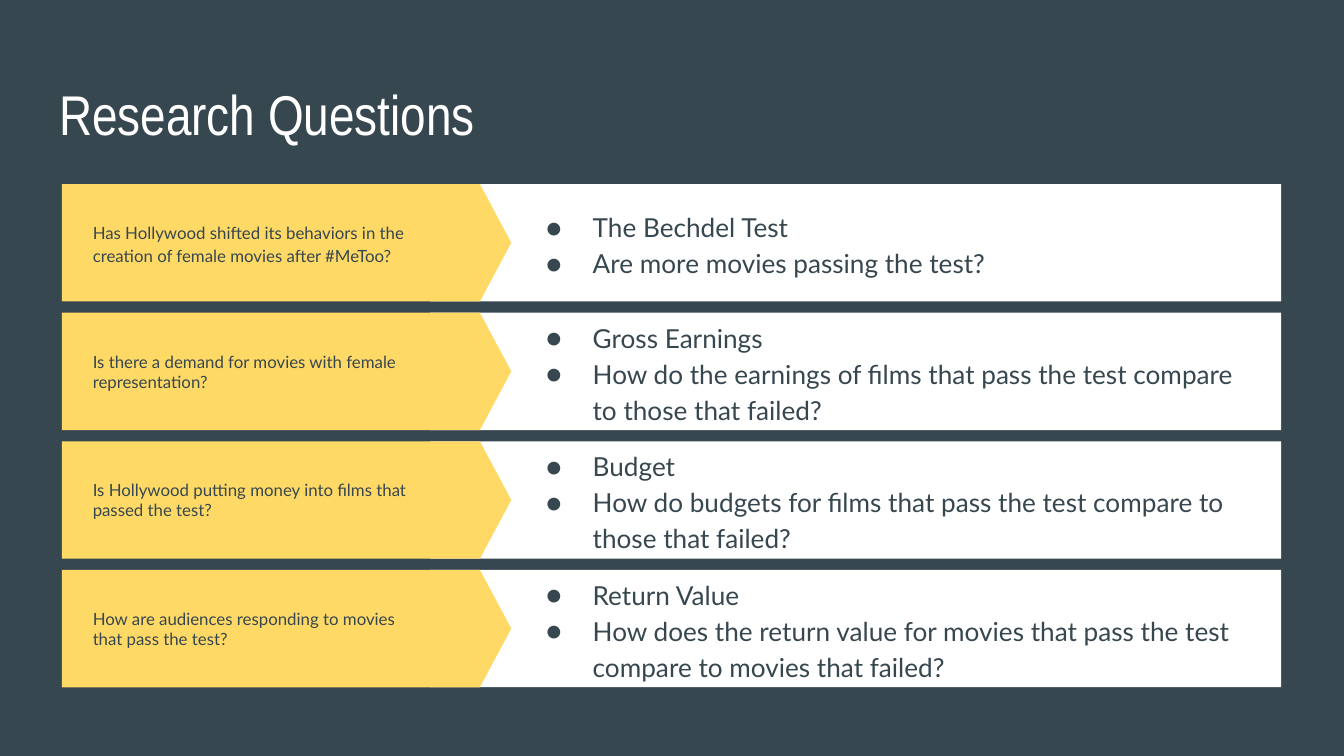
"""Build the research questions slide: four question arrows with their bullet lists."""
import pptx
import pptx.dml.color
import pptx.enum.shapes
import pptx.enum.text
import pptx.oxml
import pptx.oxml.ns
import pptx.util

Pt = pptx.util.Pt
Shape = pptx.enum.shapes.MSO_SHAPE
Anchor = pptx.enum.text.MSO_ANCHOR

ROWS = [
    ("Has Hollywood shifted its behaviors in the creation of female movies after #MeToo?",
     ["The Bechdel Test", "Are more movies passing the test?"]),
    ("Is there a demand for movies with female representation?",
     ["Gross Earnings",
      "How do the earnings of films that pass the test compare to those that failed?"]),
    ("Is Hollywood putting money into films that passed the test?",
     ["Budget",
      "How do budgets for films that pass the test compare to those that failed?"]),
    ("How are audiences responding to movies that pass the test?",
     ["Return Value",
      "How does the return value for movies that pass the test compare to movies that failed?"]),
]
ROW_TOP, ROW_STEP, ROW_HEIGHT = 98.6, 68.9, 62.9


class SlideBuilder:
    """Hold the style and the current slide."""

    colors = {"slate": "37474F", "yellow": "FFD966", "white": "FFFFFF"}
    formats = {
        "title": {"size": Pt(30), "name": "Arial Narrow", "bold": False},
        "question": {"size": Pt(9), "name": "Lato", "bold": False},
        "list": {"size": Pt(14), "name": "Lato", "bold": False},
    }

    def __init__(self, deck):
        """Add a slide with a title and four body placeholders."""
        self.page = deck.slides.add_slide(deck.slide_layouts.get_by_name("Comparison"))
        self.bodies = [box for box in self.page.placeholders
                       if box.placeholder_format.idx > 0]
        self.paint(self.page.background.fill, "slate")

    def color(self, name):
        """Return the named colour."""
        return pptx.dml.color.RGBColor.from_string(self.colors[name])

    def paint(self, fill, name):
        """Make a fill solid in the named colour."""
        fill.solid()
        fill.fore_color.rgb = self.color(name)

    def place(self, box, left, top, width, height):
        """Move a box and bring it to the front."""
        values = {"left": left, "top": top, "width": width, "height": height}
        for name, value in values.items():
            setattr(box, name, Pt(value))
        box.element.getparent().append(box.element)

    def set_text(self, box, lines, style, color, anchor, spacing=1.0):
        """Set one paragraph per line in the named format."""
        frame = box.text_frame
        values = {"word_wrap": True, "auto_size": pptx.enum.text.MSO_AUTO_SIZE.NONE,
                  "vertical_anchor": anchor, "margin_left": Pt(7.2),
                  "margin_right": Pt(7.2), "margin_top": Pt(7.2),
                  "margin_bottom": Pt(7.2)}
        for name, value in values.items():
            setattr(frame, name, value)
        frame.text = "\n".join(lines)
        layout = {"alignment": pptx.enum.text.PP_ALIGN.LEFT, "line_spacing": spacing,
                  "space_before": Pt(0), "space_after": Pt(0)}
        for para in frame.paragraphs:
            for name, value in layout.items():
                setattr(para, name, value)
            for span in para.runs:
                for name, value in self.formats[style].items():
                    setattr(span.font, name, value)
                span.font.color.rgb = self.color(color)

    def title(self, text):
        """Fill the title placeholder."""
        box = self.page.shapes.title
        self.place(box, 24.5, 35.3, 671, 45.4)
        self.set_text(box, [text], "title", "white", Anchor.TOP)

    def block(self, group, kind, color, left, top, width):
        """Add a plain filled shape to a group."""
        shape = group.shapes.add_shape(kind, Pt(left), Pt(top), Pt(width), Pt(ROW_HEIGHT))
        shape.shadow.inherit = False
        self.paint(shape.fill, color)
        shape.line.fill.background()
        return shape

    def band(self, top):
        """Add a white panel with a yellow arrow over its left end."""
        group = self.page.shapes.add_group_shape()
        self.block(group, Shape.RECTANGLE, "white", 230.4, top, 455.9)
        arrow = self.block(group, Shape.PENTAGON, "yellow", 33.2, top, 240.7)
        arrow.adjustments[0] = 0.267

    def question(self, text, top, spacing):
        """Add the question on an arrow."""
        box = self.page.shapes.add_textbox(Pt(42.6), Pt(top), Pt(190.8), Pt(ROW_HEIGHT))
        self.set_text(box, [text], "question", "slate", Anchor.MIDDLE, spacing)

    def bullets(self, box, lines, top):
        """Fill a body placeholder with a bullet list."""
        self.place(box, 274.3, top, 402.5, ROW_HEIGHT)
        self.set_text(box, lines, "list", "slate", Anchor.MIDDLE, 1.15)
        namespace = pptx.oxml.ns.nsdecls("a")
        for para in box.text_frame.paragraphs:
            properties = para._p.get_or_add_pPr()
            properties.set("marL", str(Pt(36)))
            properties.set("indent", str(Pt(-25)))
            for xml in (
                f'<a:buClr {namespace}><a:srgbClr val="{self.colors["slate"]}"/></a:buClr>',
                f'<a:buFont {namespace} typeface="Lato"/>',
                f'<a:buChar {namespace} char="●"/>',
            ):
                properties.append(pptx.oxml.parse_xml(xml))


def main():
    """Build and save the deck."""
    deck = pptx.Presentation()
    deck.slide_width, deck.slide_height = Pt(720), Pt(405)
    builder = SlideBuilder(deck)
    builder.title("Research Questions")
    for index, (question, lines) in enumerate(ROWS):
        top = ROW_TOP + index * ROW_STEP
        builder.band(top)
        builder.question(question, top, 1.0 if index else 1.15)
        builder.bullets(builder.bodies[index], lines, top)
    deck.save("out.pptx")


if __name__ == "__main__":
    main()
